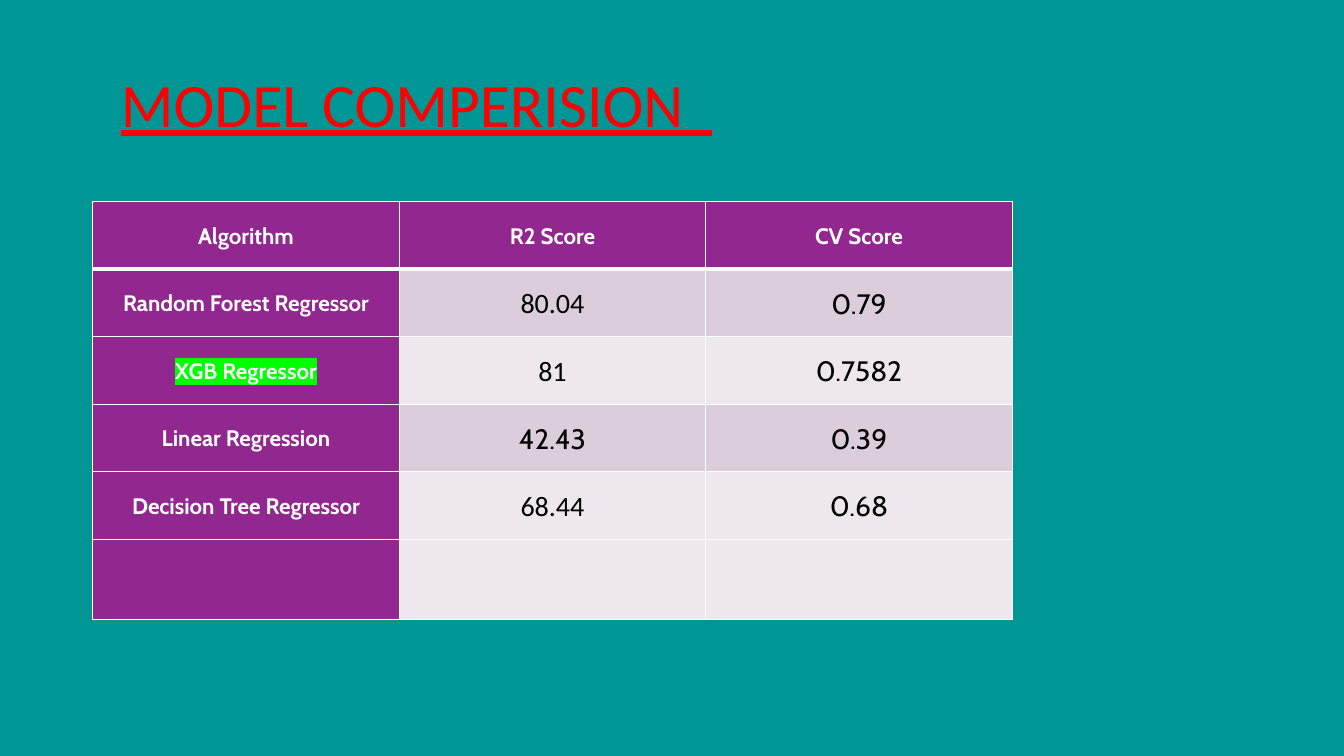
"""Build the model comparison slide with its table of scores."""
from dataclasses import dataclass

from lxml import etree
from pptx import Presentation
from pptx import util as u
from pptx.dml.color import RGBColor
from pptx.enum import text
from pptx.oxml.ns import qn


@dataclass(frozen=True)
class Theme:
    background: str = "009696"
    title: str = "FF0000"
    heading: str = "92278F"
    band_dark: str = "DCCDDB"
    band_light: str = "EEE8EE"
    white: str = "FFFFFF"
    black: str = "000000"
    highlight: str = "00FF00"
    body_font: str = "Cabin"
    plain_font: str = "Calibri"
    title_size: int = 44
    heading_size: int = 16
    score_size: int = 20
    thin: int = 1
    thick: int = 3


class SlideBuilder:
    def __init__(self, deck, theme):
        self.theme = theme
        self.page = deck.slides.add_slide(deck.slide_layouts[5])
        fill = self.page.background.fill
        fill.solid()
        fill.fore_color.rgb = RGBColor.from_string(theme.background)

    def span(self, para, words, font, size, color, bold=False):
        span = para.add_run()
        span.text = words
        span.font.name = font
        span.font.size = u.Pt(size)
        span.font.bold = bold
        span.font.color.rgb = RGBColor.from_string(color)
        return span

    def mark(self, span):
        fill = span.font._element.find(qn("a:solidFill"))
        highlight = etree.Element(qn("a:highlight"))
        etree.SubElement(highlight, qn("a:srgbClr"), val=self.theme.highlight)
        fill.addnext(highlight)

    def title(self, words, left, top, width, height):
        box = self.page.shapes.title
        box.left, box.top = u.Inches(left), u.Inches(top)
        box.width, box.height = u.Inches(width), u.Inches(height)
        frame = box.text_frame
        frame.word_wrap = True
        frame.auto_size = text.MSO_AUTO_SIZE.SHAPE_TO_FIT_TEXT
        frame.vertical_anchor = text.MSO_ANCHOR.TOP
        para = frame.paragraphs[0]
        para.alignment = text.PP_ALIGN.LEFT
        theme = self.theme
        span = self.span(para, words, theme.plain_font, theme.title_size, theme.title)
        span.font.underline = True

    def borders(self, cell, widths):
        properties = cell._tc.get_or_add_tcPr()
        for position, (side, points) in enumerate(widths.items()):
            line = etree.Element(qn(f"a:ln{side}"), w=str(u.Pt(points)))
            fill = etree.SubElement(line, qn("a:solidFill"))
            etree.SubElement(fill, qn("a:srgbClr"), val=self.theme.white)
            properties.insert(position, line)

    def cell(self, cell, words, fill, font, size, color, bold):
        cell.fill.solid()
        cell.fill.fore_color.rgb = RGBColor.from_string(fill)
        cell.vertical_anchor = text.MSO_ANCHOR.MIDDLE
        cell.margin_left = cell.margin_right = u.Inches(0.04)
        cell.margin_top = cell.margin_bottom = 0
        para = cell.text_frame.paragraphs[0]
        para.alignment = text.PP_ALIGN.CENTER
        para.line_spacing = 1.07
        para.space_after = u.Pt(8)
        if words:
            return self.span(para, words, font, size, color, bold)

    def table(self, rows, left, top, column_width, heights, plain, marked):
        theme = self.theme
        columns = len(rows[0])
        table = self.page.shapes.add_table(
            len(rows), columns, u.Inches(left), u.Inches(top),
            u.Inches(column_width * columns), u.Inches(sum(heights))).table
        for column in table.columns:
            column.width = u.Inches(column_width)
        for r, (row, height) in enumerate(zip(rows, heights)):
            table.rows[r].height = u.Inches(height)
            band = theme.band_dark if r in (1, 3) else theme.band_light
            for c, words in enumerate(row):
                cell = table.cell(r, c)
                if r == 0 or c == 0:
                    style = (theme.heading, theme.body_font, theme.heading_size,
                             theme.white, True)
                else:
                    font = theme.plain_font if words in plain else theme.body_font
                    style = (band, font, theme.score_size, theme.black, False)
                span = self.cell(cell, words, *style)
                if words == marked:
                    self.mark(span)
                self.borders(cell, {
                    "L": theme.thin, "R": theme.thin,
                    "T": theme.thick if r == 1 else theme.thin,
                    "B": theme.thick if r == 0 else theme.thin})


def main():
    deck = Presentation()
    deck.slide_width, deck.slide_height = u.Inches(13.33), u.Inches(7.5)
    slide = SlideBuilder(deck, Theme())
    slide.title("MODEL COMPERISION  ", 1.1, 0.6, 7.61, 0.84)
    scores = [
        ("Algorithm", "R2 Score", "CV Score"),
        ("Random Forest Regressor", "80.04", "0.79"),
        ("XGB Regressor", "81", "0.7582"),
        ("Linear Regression", "42.43", "0.39"),
        ("Decision Tree Regressor", "68.44", "0.68"),
        ("", "", ""),
    ]
    slide.table(scores, 0.92, 2, 3.04, [0.67] * 5 + [0.8],
                plain=("80.04", "81", "68.44"), marked="XGB Regressor")
    deck.save("out.pptx")


if __name__ == "__main__":
    main()
